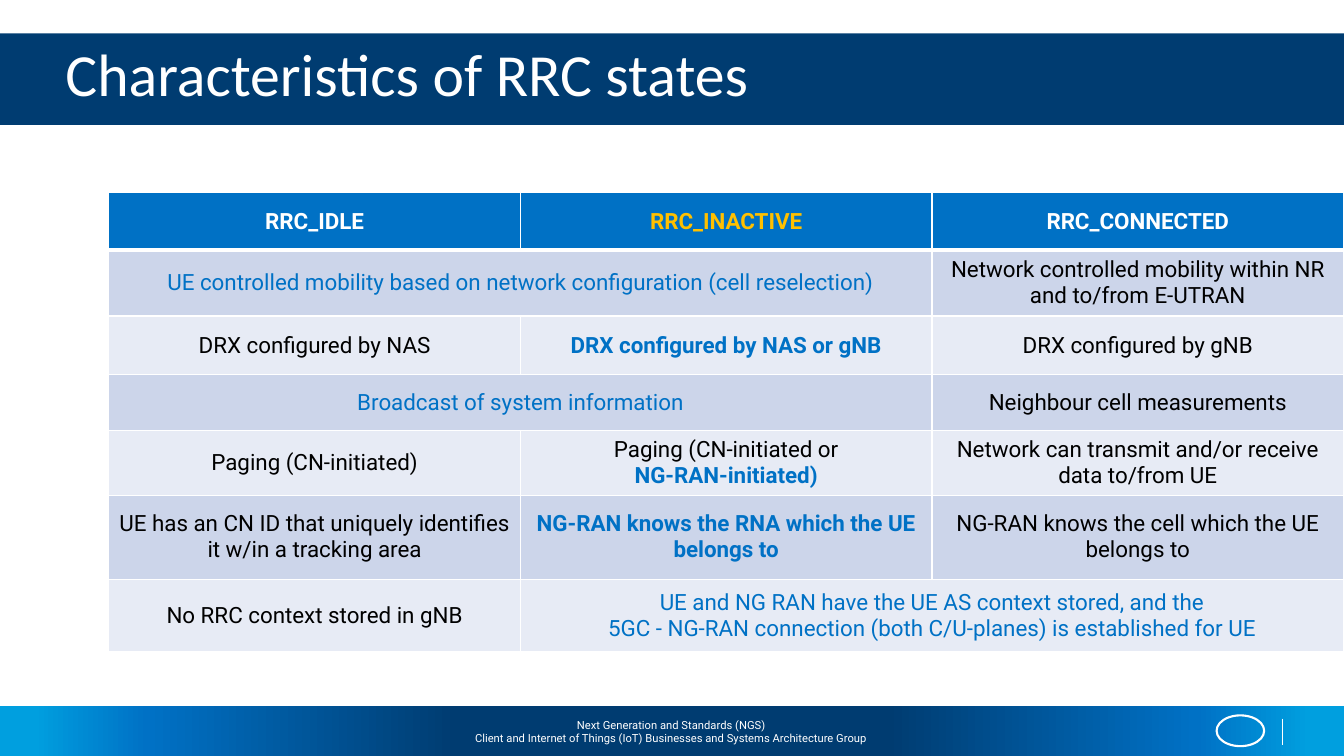
from dataclasses import dataclass

from lxml.etree import SubElement
from pptx import Presentation
from pptx.dml.color import RGBColor
from pptx.enum.shapes import MSO_CONNECTOR, MSO_SHAPE
from pptx.enum.text import MSO_ANCHOR, MSO_AUTO_SIZE, PP_ALIGN
from pptx.oxml import parse_xml
from pptx.oxml.ns import nsdecls, qn
from pptx.util import Pt


@dataclass(frozen=True)
class Theme:
    white: str = "FFFFFF"
    black: str = "000000"
    navy: str = "003C71"
    blue: str = "0071C5"
    cyan: str = "009FDF"
    amber: str = "FFC000"
    dark_band: str = "CCD5EA"
    light_band: str = "E7EBF5"
    title_font: str = "Calibri"
    body_font: str = "Roboto"
    title_size: float = 42.7
    table_size: float = 16
    footer_size: float = 8


theme = Theme()


def write(frame, lines, size, font=theme.body_font, align=PP_ALIGN.CENTER, spacing=None):
    """Fill a text frame with one paragraph per (text, colour, bold) line."""
    for index, (text, color, bold) in enumerate(lines):
        para = frame.add_paragraph() if index else frame.paragraphs[0]
        para.alignment = align
        if spacing:
            para.line_spacing = spacing
        span = para.add_run()
        span.text = text
        span.font.size = Pt(size)
        span.font.name = font
        span.font.bold = bold
        span.font.color.rgb = RGBColor.from_string(color)


def border(cell, widths):
    """Draw white cell borders; widths are left, right, top, bottom in points."""
    properties = cell.fill and cell._tc.get_or_add_tcPr()
    for index, (side, width) in enumerate(zip("LRTB", widths)):
        properties.insert(index, parse_xml(
            f'<a:ln{side} {nsdecls("a")} w="{Pt(width)}"><a:solidFill>'
            f'<a:srgbClr val="{theme.white}"/></a:solidFill></a:ln{side}>'))


deck = Presentation()
deck.slide_width, deck.slide_height = Pt(960), Pt(540)
page = deck.slides.add_slide(deck.slide_layouts[5])
shapes = page.shapes

# Footer and title bands
footer_band = shapes.add_shape(MSO_SHAPE.RECTANGLE, 0, Pt(504.5), Pt(960), Pt(35.5))
title_band = shapes.add_shape(MSO_SHAPE.RECTANGLE, 0, Pt(23.75), Pt(960), Pt(65.5))
for band in (footer_band, title_band):
    band.shadow.inherit = False
    band.line.fill.background()
title_band.fill.solid()
title_band.fill.fore_color.rgb = RGBColor.from_string(theme.navy)

footer_band.fill.gradient()
footer_band.fill.gradient_angle = 0
stops = footer_band.element.find(f".//{qn('a:gsLst')}")
for stop in list(stops):
    stops.remove(stop)
half = [(2.5, theme.cyan), (11, theme.blue), (34, theme.navy)]
mirrored = [(100 - position, color) for position, color in reversed(half)]
for position, color in half + mirrored:
    stop = SubElement(stops, qn("a:gs"), pos=str(int(position * 1000)))
    SubElement(stop, qn("a:srgbClr"), val=color)

# Footer contents
emblem = shapes.add_shape(MSO_SHAPE.OVAL, Pt(869), Pt(511), Pt(34), Pt(22))
emblem.shadow.inherit = False
emblem.fill.background()
emblem.line.color.rgb = RGBColor.from_string(theme.white)
emblem.line.width = Pt(1.5)

divider = shapes.add_connector(MSO_CONNECTOR.STRAIGHT, Pt(916), Pt(513.25), Pt(916), Pt(532))
divider.line.color.rgb = RGBColor.from_string(theme.white)
divider.line.width = Pt(0.25)
SubElement(divider.element.find(qn("p:spPr")), qn("a:effectLst"))

footer = shapes.add_textbox(Pt(329.5), Pt(509.5), Pt(300), Pt(27))
footer.text_frame.word_wrap = False
write(footer.text_frame, [
    ("Next Generation and Standards (NGS)", theme.white, False),
    ("Client and Internet of Things (IoT) Businesses and Systems Architecture Group",
     theme.white, False),
], theme.footer_size)

# Title, brought in front of its band
title = shapes.title
title.element.getparent().append(title.element)
title.left, title.top, title.width, title.height = Pt(46.75), Pt(36), Pt(876), Pt(41)
frame = title.text_frame
frame.margin_left = frame.margin_right = frame.margin_top = frame.margin_bottom = 0
frame.auto_size = MSO_AUTO_SIZE.NONE
frame.vertical_anchor = MSO_ANCHOR.MIDDLE
write(frame, [("Characteristics of RRC states", theme.white, False)], theme.title_size,
      font=theme.title_font, align=PP_ALIGN.LEFT, spacing=0.8)

# Table of states: each cell is (columns spanned, colour, bold, lines)
PLAIN = (1, theme.black, False)
STRONG = (1, theme.blue, True)
SHARED = (2, theme.blue, False)
HEADING = (1, theme.white, True)
rows = [
    (41, [(HEADING, ["RRC_IDLE"]),
          ((1, theme.amber, True), ["RRC_INACTIVE"]),
          (HEADING, ["RRC_CONNECTED"])]),
    (47, [(SHARED, ["UE controlled mobility based on network configuration (cell reselection)"]),
          (PLAIN, ["Network controlled mobility within NR and to/from E-UTRAN"])]),
    (42, [(PLAIN, ["DRX configured by NAS"]),
          (STRONG, ["DRX configured by NAS or gNB"]),
          (PLAIN, ["DRX configured by gNB"])]),
    (40, [(SHARED, ["Broadcast of system information"]),
          (PLAIN, ["Neighbour cell measurements"])]),
    (46, [(PLAIN, ["Paging (CN-initiated)"]),
          (STRONG, ["Paging (CN-initiated or", "NG-RAN-initiated)"]),
          (PLAIN, ["Network can transmit and/or receive data to/from UE"])]),
    (60, [(PLAIN, ["UE has an CN ID that uniquely identifies it w/in a tracking area"]),
          (STRONG, ["NG-RAN knows the RNA which the UE belongs to"]),
          (PLAIN, ["NG-RAN knows the cell which the UE belongs to"])]),
    (52, [(PLAIN, ["No RRC context stored in gNB"]),
          (SHARED, ["UE and NG RAN have the UE AS context stored, and the",
                    "5GC - NG-RAN connection (both C/U-planes) is established for UE"])]),
]
table = shapes.add_table(len(rows), 3, Pt(77.75), Pt(137.75), Pt(882),
                         Pt(sum(height for height, _ in rows))).table
for column in table.columns:
    column.width = Pt(294)

for row_index, (height, entries) in enumerate(rows):
    table.rows[row_index].height = Pt(height)
    band_color = theme.dark_band if row_index % 2 else theme.light_band
    for cell in table.rows[row_index].cells:
        cell.fill.solid()
        cell.fill.fore_color.rgb = RGBColor.from_string(band_color if row_index else theme.blue)
        cell.vertical_anchor = MSO_ANCHOR.MIDDLE
        border(cell, (1, 1, 3 if row_index == 1 else 1, 3 if row_index == 0 else 1))
    column_index = 0
    for (columns, color, bold), texts in entries:
        cell = table.cell(row_index, column_index)
        if columns > 1:
            cell.merge(table.cell(row_index, column_index + columns - 1))
        lines = [(text, color, bold) for text in texts]
        if texts[0].startswith("Paging (CN-initiated or"):
            lines[0] = (texts[0], theme.black, False)
        write(cell.text_frame, lines, theme.table_size)
        column_index += columns

deck.save("out.pptx")
